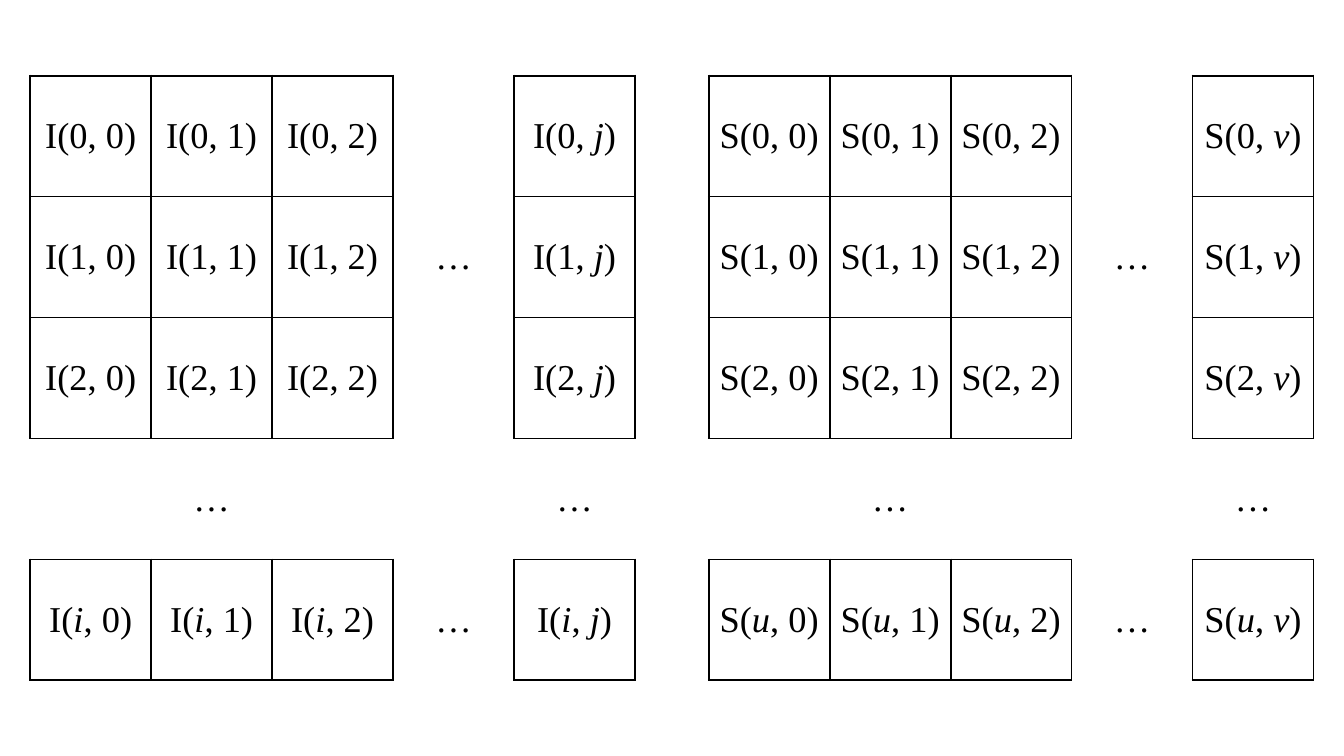
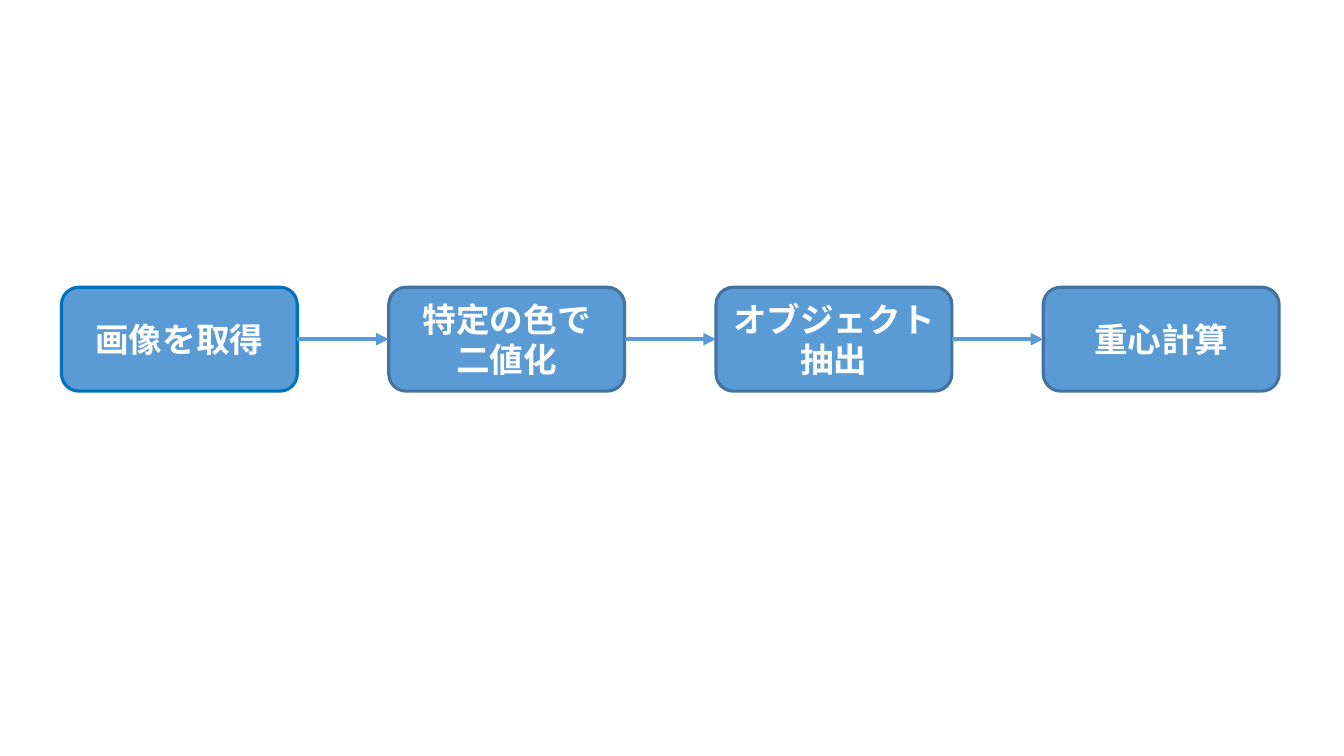
from itertools import groupby, pairwise

from lxml import etree
from pptx import Presentation
from pptx.dml.color import RGBColor
from pptx.enum.shapes import MSO_CONNECTOR, MSO_SHAPE
from pptx.enum.text import MSO_ANCHOR, PP_ALIGN
from pptx.oxml.ns import qn
from pptx.util import Pt

CENTER = PP_ALIGN.CENTER
MIDDLE = MSO_ANCHOR.MIDDLE
ROUNDED = MSO_SHAPE.ROUNDED_RECTANGLE
STRAIGHT = MSO_CONNECTOR.STRAIGHT

COLORS = {
    "ink": "000000",
    "paper": "FFFFFF",
    "box": "5B9BD5",
    "edge": "43739E",
    "first_edge": "0070C0",
}
MATRIX_FONT = "Times New Roman"
FLOW_FONT = "Noto Sans CJK JP"
RIGHT_SIDE, LEFT_SIDE = 3, 1
GAP = 3
CELL_COUNT = 5
BORDERS = {"lnL": (0, -1), "lnR": (0, 1), "lnT": (-1, 0), "lnB": (1, 0)}
STEPS = [["画像を取得"], ["特定の色で", "二値化"], ["オブジェクト", "抽出"], ["重心計算"]]


def color(name):
    """Return the named colour of the palette."""
    return RGBColor.from_string(COLORS[name])


def write_text(text_frame, lines, *, font, size, ink, bold=False):
    """Write centred paragraphs, with lowercase variables in italics."""
    for index, line in enumerate(lines):
        paragraph = text_frame.add_paragraph() if index else text_frame.paragraphs[0]
        paragraph.alignment = CENTER
        for is_variable, letters in groupby(line, key=str.islower):
            run = paragraph.add_run()
            run.text = "".join(letters)
            run.font.size = Pt(size)
            run.font.bold = bold
            run.font.italic = is_variable
            run.font.color.rgb = color(ink)
            run.font.name = font
            etree.SubElement(run.font._element, qn("a:ea"), typeface=font)


def is_entry(row, column):
    """Tell whether a position holds a matrix entry."""
    return all(index in range(CELL_COUNT) and index != GAP for index in (row, column))


def draw_borders(cell, row, column):
    """Rule the sides of a cell that touch a matrix entry."""
    properties = cell._tc.get_or_add_tcPr()
    for tag, (down, across) in BORDERS.items():
        line = etree.SubElement(properties, qn(f"a:{tag}"), w=str(Pt(1.5)))
        if is_entry(row, column) or is_entry(row + down, column + across):
            fill = etree.SubElement(line, qn("a:solidFill"))
            etree.SubElement(fill, qn("a:srgbClr"), val=COLORS["ink"])
        else:
            etree.SubElement(line, qn("a:noFill"))


def cell_text(name, row, column, last_row, last_column):
    """Return the entry, ellipsis or empty text for a position."""
    if is_entry(row, column):
        row_label = last_row if row > GAP else row
        column_label = last_column if column > GAP else column
        return f"{name}({row_label}, {column_label})"
    shows_dots = (row, column) in {(1, GAP), (4, GAP), (GAP, 1), (GAP, 4)}
    return "…" if shows_dots else ""


def add_matrix(slide, left, top, size, name, last_row, last_column):
    """Add a square matrix table with gaps for the omitted entries."""
    frame = slide.shapes.add_table(
        CELL_COUNT, CELL_COUNT, Pt(left), Pt(top), Pt(size), Pt(size)
    )
    table = frame.table
    table.first_row = False
    table.horz_banding = False
    for band in (*table.rows, *table.columns):
        if hasattr(band, "height"):
            band.height = Pt(size / CELL_COUNT)
        else:
            band.width = Pt(size / CELL_COUNT)
    for row in range(CELL_COUNT):
        for column in range(CELL_COUNT):
            cell = table.cell(row, column)
            cell.vertical_anchor = MIDDLE
            cell.margin_left = cell.margin_right = cell.margin_top = Pt(0.7)
            cell.margin_bottom = Pt(0)
            draw_borders(cell, row, column)
            cell.fill.background()
            text = cell_text(name, row, column, last_row, last_column)
            if text:
                write_text(cell.text_frame, [text], font=MATRIX_FONT, size=26, ink="ink")
                if row == GAP:
                    cell._tc.get_or_add_tcPr().set("vert", "eaVert")


def add_step(shapes, left, top, width, height, lines, edge):
    """Add one rounded step box."""
    shape = shapes.add_shape(ROUNDED, Pt(left), Pt(top), Pt(width), Pt(height))
    shape.shadow.inherit = False
    shape.fill.solid()
    shape.fill.fore_color.rgb = color("box")
    shape.line.color.rgb = color(edge)
    shape.line.width = Pt(2.25)
    shape.text_frame.word_wrap = True
    shape.text_frame.vertical_anchor = MIDDLE
    write_text(shape.text_frame, lines, font=FLOW_FONT, size=24, ink="paper", bold=True)
    return shape


def add_arrow(shapes, source, target):
    """Join two neighbouring steps with an arrow."""
    middle = source.top + source.height // 2
    arrow = shapes.add_connector(
        STRAIGHT, source.left + source.width, middle, target.left, middle
    )
    arrow.begin_connect(source, RIGHT_SIDE)
    arrow.end_connect(target, LEFT_SIDE)
    arrow.line.color.rgb = color("box")
    arrow.line.width = Pt(3)
    etree.SubElement(arrow.line._get_or_add_ln(), qn("a:tailEnd"), type="triangle")
    etree.SubElement(arrow._element.spPr, qn("a:effectLst"))


def add_flow(slide, left, top, width, height, gap):
    """Add the row of steps and the arrows between them."""
    shapes = slide.shapes.add_group_shape().shapes
    step_width = (width - gap * (len(STEPS) - 1)) / len(STEPS)
    steps = [
        add_step(
            shapes,
            left + index * (step_width + gap),
            top,
            step_width,
            height,
            lines,
            "edge" if index else "first_edge",
        )
        for index, lines in enumerate(STEPS)
    ]
    for source, target in pairwise(steps):
        add_arrow(shapes, source, target)


def add_blank_slide(presentation):
    """Add a slide with the blank layout."""
    return presentation.slides.add_slide(presentation.slide_layouts[6])


def main():
    """Build and save the presentation."""
    presentation = Presentation()
    presentation.slide_width = Pt(960)
    presentation.slide_height = Pt(540)
    matrices = add_blank_slide(presentation)
    add_matrix(matrices, 21.6, 54, 432, "I", "i", "j")
    add_matrix(matrices, 506.2, 54, 432, "S", "u", "v")
    add_flow(add_blank_slide(presentation), 43.9, 205.2, 869.8, 74.2, 65.3)
    presentation.save("out.pptx")


if __name__ == "__main__":
    main()
